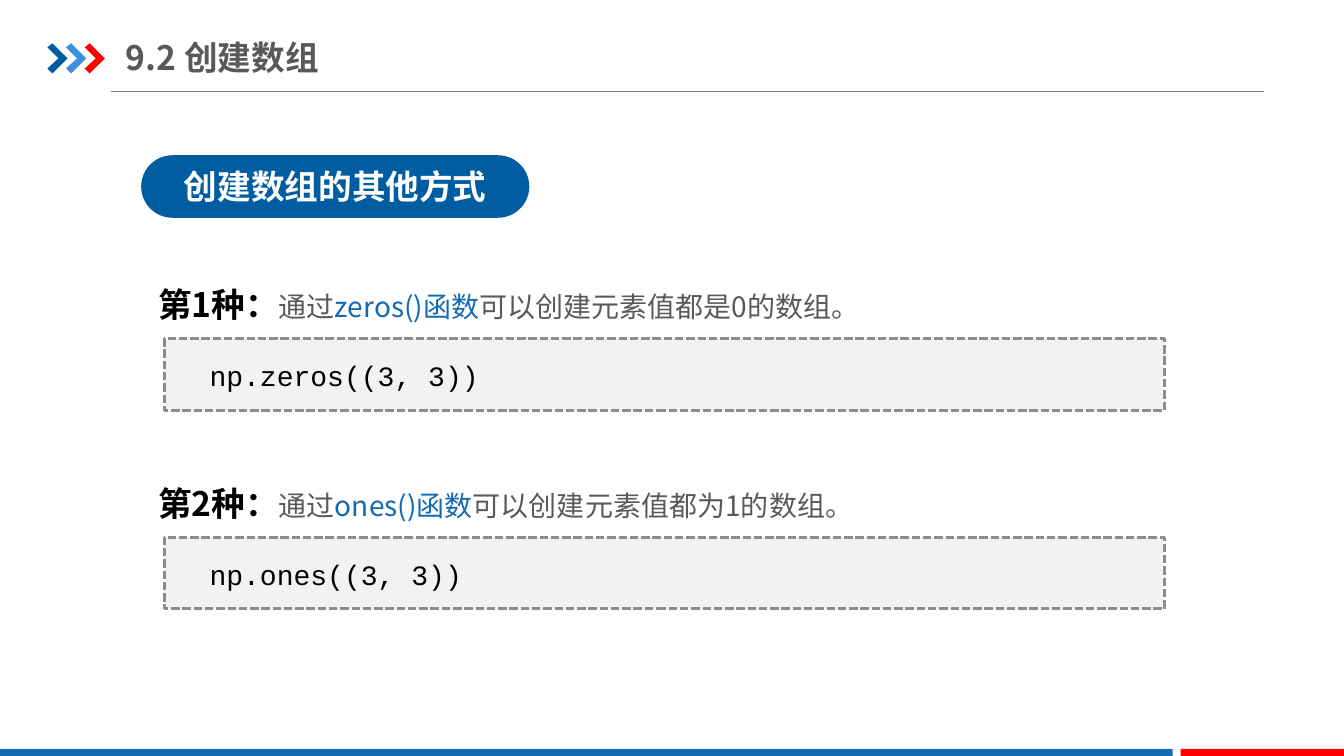
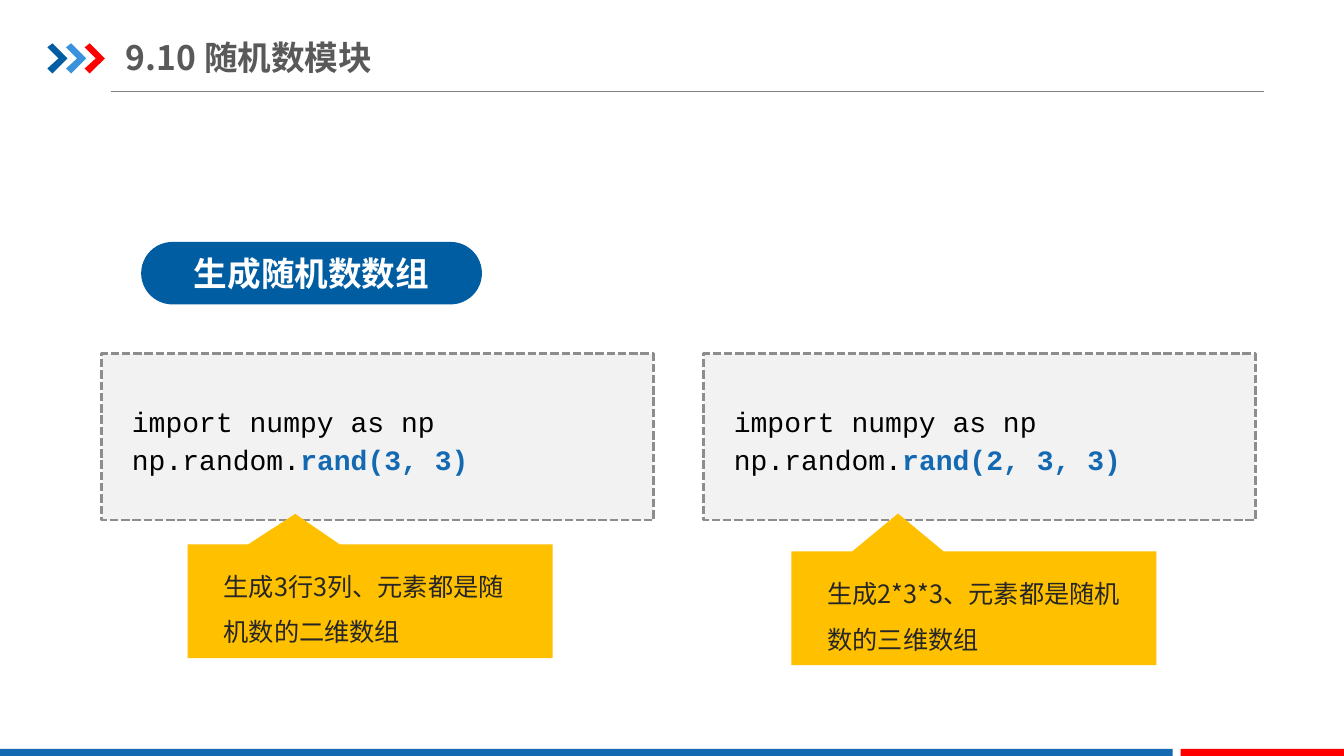
from lxml import etree
from pptx import Presentation
from pptx.dml.color import RGBColor
from pptx.enum import dml, shapes, text
from pptx.oxml import ns
from pptx.util import Inches, Pt

HUE = {
    "navy": "005DA2", "sky": "3992DB", "red": "FF0000", "blue": "1369B2",
    "rule": "808080", "gray": "595959", "pale": "F2F2F2", "dash": "8D8D8D",
    "gold": "FFC000", "dark": "262626", "black": "000000", "white": "FFFFFF",
}
SANS, MONO = "Noto Sans CJK SC", "Courier New"
STYLES = {
    "title": (24, SANS, "gray", True),
    "pill": (24, SANS, "white", True),
    "head": (24, SANS, "black", True),
    "body": (20, SANS, "gray", False),
    "key": (20, SANS, "blue", False),
    "code": (20, MONO, "black", False),
    "call": (20, MONO, "blue", True),
    "note": (18, SANS, "dark", False),
}
KIND = shapes.MSO_SHAPE
MID = text.MSO_ANCHOR.MIDDLE

WAYS = [
    ([("第1种：", "head"), ("通过", "body"), ("zeros()函数", "key"),
      ("可以创建元素值都是0的数组。", "body")], "np.zeros((3, 3))"),
    ([("第2种：", "head"), ("通过", "body"), ("ones()函数", "key"),
      ("可以创建元素值都为1的数组。", "body")], "np.ones((3, 3))"),
]
RANDOM = [
    ("rand(3, 3)", "生成3行3列、元素都是随机数的二维数组",
     1.86, 5.4, (-0.205, -0.767)),
    ("rand(2, 3, 3)", "生成2*3*3、元素都是随机数的三维数组",
     7.85, 5.47, (-0.208, -0.832)),
]
CHEVRON = [(0, 0.04), (0.05, 0), (0.2, 0.15), (0.05, 0.3), (0, 0.25), (0.11, 0.15)]


def color(name):
    return RGBColor.from_string(HUE[name])


def paint(shape, fill):
    shape.shadow.inherit = False
    shape.fill.solid()
    shape.fill.fore_color.rgb = color(fill)
    shape.line.fill.background()
    return shape


def add_box(slide, kind, box, fill, adjust=()):
    shape = slide.shapes.add_shape(kind, *map(Inches, box))
    for i, value in enumerate(adjust):
        shape.adjustments[i] = value
    return paint(shape, fill)


def write(frame, lines, space=1.0, indent=0, align=None):
    frame.word_wrap = True
    for i, runs in enumerate(lines):
        para = frame.paragraphs[0] if i == 0 else frame.add_paragraph()
        para.line_spacing = space
        para.alignment = align
        if indent:
            props = para._p.get_or_add_pPr()
            props.set("marL", "0")
            props.set("indent", str(Inches(indent)))
        for words, style in runs:
            size, face, hue, bold = STYLES[style]
            run = para.add_run()
            run.text = words
            font = run.font
            font.size, font.name, font.bold = Pt(size), face, bold
            font.color.rgb = color(hue)
            east = etree.SubElement(run._r.get_or_add_rPr(), ns.qn("a:ea"))
            east.set("typeface", face)


def add_text(slide, box, lines, **look):
    frame = slide.shapes.add_textbox(*map(Inches, box)).text_frame
    write(frame, lines, **look)
    return frame


def add_panel(slide, box):
    panel = add_box(slide, KIND.RECTANGLE, box, "pale")
    panel.line.color.rgb = color("dash")
    panel.line.width = Pt(2)
    panel.line.dash_style = dml.MSO_LINE.SQUARE_DOT


def add_pill(slide, top, width, words):
    pill = add_box(slide, KIND.ROUNDED_RECTANGLE, (1.4, top, width, 0.62), "navy", [0.5])
    pill.text_frame.vertical_anchor = MID
    write(pill.text_frame, [[(words, "pill")]], align=text.PP_ALIGN.CENTER)


def start_slide(deck, title):
    slide = deck.slides.add_slide(deck.slide_layouts[6])
    rule = slide.shapes.add_connector(
        shapes.MSO_CONNECTOR.STRAIGHT, *map(Inches, (1.1, 0.91, 12.54, 0.91)))
    rule.line.color.rgb = color("rule")
    rule.line.width = Pt(0.75)
    etree.SubElement(rule._element.spPr, ns.qn("a:effectLst"))
    for i, hue in enumerate(("navy", "sky", "red")):
        points = [(Inches(0.47 + 0.185 * i + x), Inches(0.43 + y)) for x, y in CHEVRON]
        path = slide.shapes.build_freeform(*points[0])
        path.add_line_segments(points[1:], close=True)
        paint(path.convert_to_shape(), hue)
    for left, width, hue in ((0, 11.63, "blue"), (11.71, 1.63, "red")):
        add_box(slide, KIND.RECTANGLE, (left, 7.43, width, 0.09), hue)
    frame = add_text(slide, (1.25, 0.29, 5.57, 0.55), [[(title, "title")]])
    frame.vertical_anchor = MID
    frame.margin_left = frame.margin_right = 0
    frame.margin_top = frame.margin_bottom = Inches(0.07)
    return slide


def build_ways(deck):
    slide = start_slide(deck, "9.2 创建数组")
    add_pill(slide, 1.54, 3.85, "创建数组的其他方式")
    for i, (runs, code) in enumerate(WAYS):
        top = 2.57 + 1.97 * i
        add_text(slide, (1.47, top, 10.95, 0.71), [runs], space=1.5)
        add_panel(slide, (1.63, top + 0.79, 9.92, 0.71))
        add_text(slide, (1.73, top + 0.94, 9.74, 0.44), [[(code, "code")]], indent=0.25)


def build_random(deck):
    slide = start_slide(deck, "9.10 随机数模块")
    add_pill(slide, 2.4, 3.38, "生成随机数数组")
    for i, (call, note, x, y, tip) in enumerate(RANDOM):
        left = 1.01 + 5.97 * i
        add_panel(slide, (left, 3.51, 5.47, 1.65))
        lines = [[("import numpy as np", "code")], [("np.random.", "code"), (call, "call")]]
        add_text(slide, (left + 0.2, 3.91, 5.08, 0.86), lines, space=1.15)
        add_box(slide, KIND.RECTANGULAR_CALLOUT, (x, y, 3.62, 1.13), "gold", tip)
        add_text(slide, (x + 0.26, y + 0.07, 3.1, 1), [[(note, "note")]], space=1.5)


def main():
    deck = Presentation()
    deck.slide_width, deck.slide_height = Inches(13.33), Inches(7.5)
    build_ways(deck)
    build_random(deck)
    deck.save("out.pptx")


if __name__ == "__main__":
    main()
